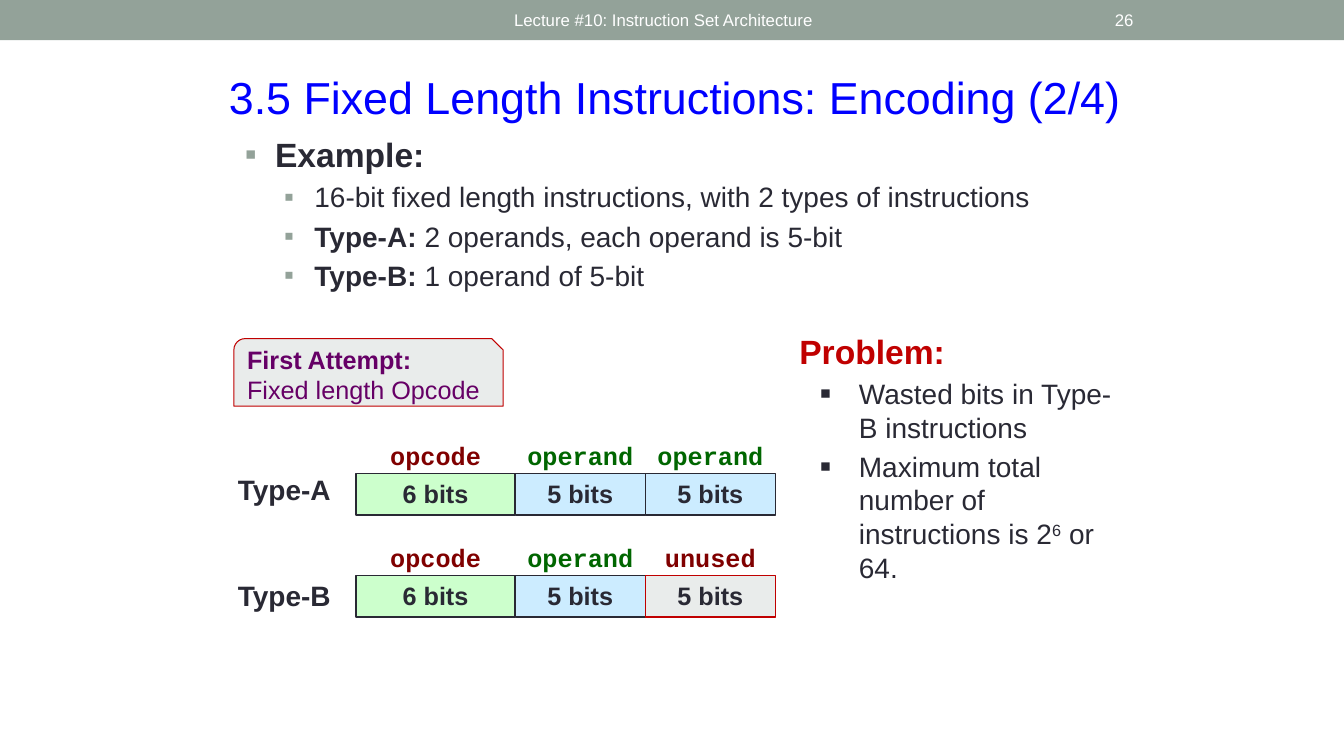
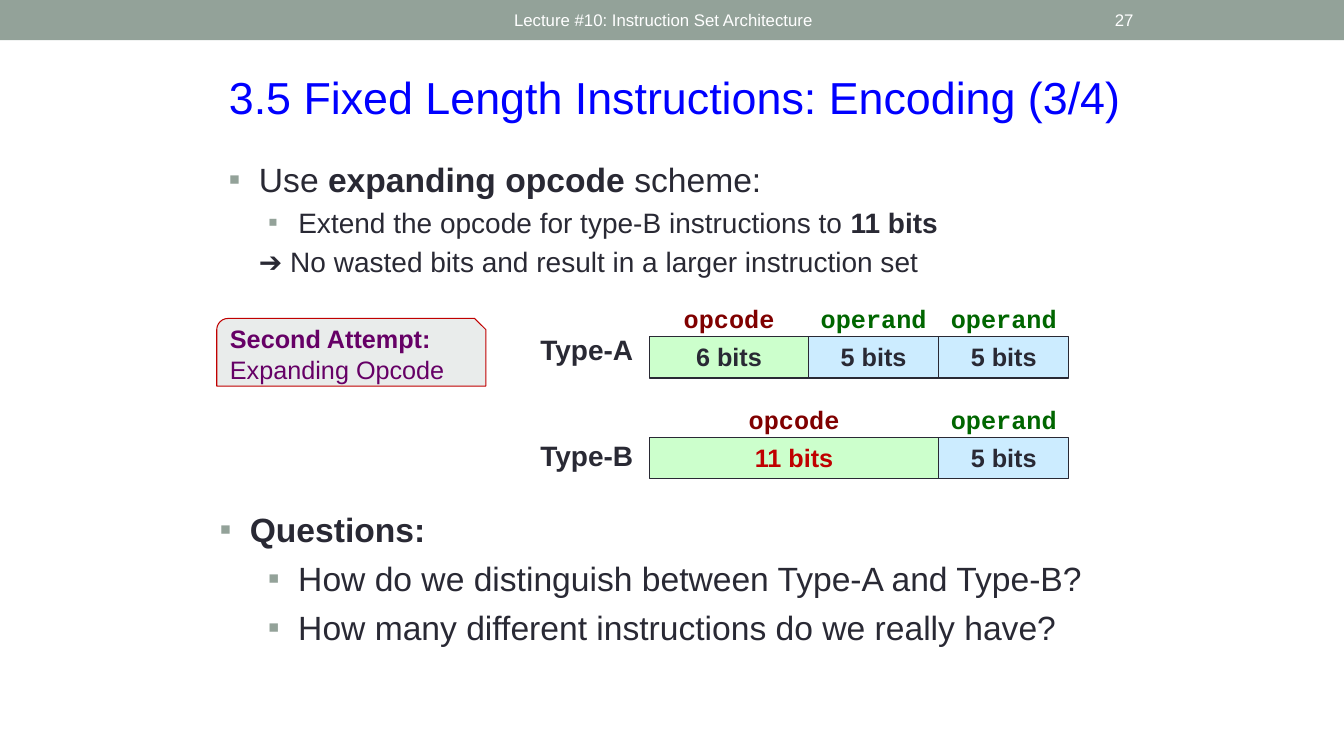
from lxml import etree
from pptx import Presentation
from pptx import util as u
from pptx.dml import color as dml
from pptx.enum import shapes, text
from pptx.oxml import ns

COLORS = {
    "band": "93A299", "white": "FFFFFF", "ink": "292934", "title": "0000FF",
    "red": "C00000", "maroon": "800000", "green": "006600", "purple": "660066",
    "mint": "CCFFCC", "sky": "CCECFF", "gray": "E9ECEB",
}
CELL_WIDTHS = {5: 1.29, 6: 1.58, 11: 2.87}
CELL_HEIGHT = 0.41
LEFT, CENTER, RIGHT = text.PP_ALIGN.LEFT, text.PP_ALIGN.CENTER, text.PP_ALIGN.RIGHT
TOP, MIDDLE = text.MSO_ANCHOR.TOP, text.MSO_ANCHOR.MIDDLE


def rgb(name):
    return dml.RGBColor.from_string(COLORS[name])


def place(box, at):
    box.left, box.top, box.width, box.height = map(u.Inches, at)


def set_bullet(para, color, scale):
    properties = para._p.get_or_add_pPr()
    if scale != 100:
        size = etree.Element(ns.qn("a:buSzPct"), val=str(scale * 1000))
    else:
        size = etree.Element(ns.qn("a:buSzTx"))
    tint = etree.SubElement(properties, ns.qn("a:buClr"))
    etree.SubElement(tint, ns.qn("a:srgbClr"), val=COLORS[color])
    properties.append(size)
    etree.SubElement(properties, ns.qn("a:buFont"), typeface="Arial")
    etree.SubElement(properties, ns.qn("a:buChar"), char="▪")


def write_para(para, content, size=18, color="ink", font="Arial", bold=False,
               align=LEFT, level=0, before=0, margin=0, hang=0,
               bullet=None, bullet_scale=100):
    para.level = level
    para.alignment = align
    para.space_before = u.Pt(before)
    properties = para._p.get_or_add_pPr()
    properties.set("marL", str(u.Inches(margin)))
    properties.set("indent", str(-u.Inches(hang)))
    if bullet:
        set_bullet(para, bullet, bullet_scale)
    parts = [(content, "")] if isinstance(content, str) else content
    for words, style in parts:
        span = para.add_run()
        span.text = words
        span.font.name = font
        span.font.size = u.Pt(size)
        span.font.bold = bold or style == "bold"
        span.font.color.rgb = rgb(color)
        if style == "super":
            span._r.get_or_add_rPr().set("baseline", "30000")


def write_frame(box, paras, anchor=TOP, inset=None):
    frame = box.text_frame
    frame.word_wrap = True
    frame.auto_size = text.MSO_AUTO_SIZE.NONE
    frame.vertical_anchor = anchor
    if inset is not None:
        frame.margin_left = frame.margin_right = u.Inches(inset)
        frame.margin_top = frame.margin_bottom = u.Inches(inset)
    for index, (content, style) in enumerate(paras):
        para = frame.add_paragraph() if index else frame.paragraphs[0]
        write_para(para, content, **style)


def add_text(page, at, paras, **layout):
    box = page.shapes.add_textbox(*map(u.Inches, at))
    write_frame(box, paras, **layout)


def add_label(page, at, content, anchor=TOP, inset=None, **style):
    add_text(page, at, [(content, style)], anchor=anchor, inset=inset)


def add_panel(page, at, fill, line=None, width=1,
              kind=shapes.MSO_SHAPE.RECTANGLE):
    panel = page.shapes.add_shape(kind, *map(u.Inches, at))
    panel.shadow.inherit = False
    panel.fill.solid()
    panel.fill.fore_color.rgb = rgb(fill)
    if line:
        panel.line.color.rgb = rgb(line)
        panel.line.width = u.Pt(width)
    else:
        panel.line.fill.background()
    return panel


def add_page(deck, title, number):
    page = deck.slides.add_slide(deck.slide_layouts[5])
    add_panel(page, (0, 0, 13.33, 0.4), "band")
    add_label(page, (5, 0.02, 6, 0.36), "Lecture #10: Instruction Set Architecture",
              anchor=MIDDLE, size=12, color="white")
    place(page.shapes.title, (2.17, 0.64, 9.17, 0.64))
    write_frame(page.shapes.title, [(title, dict(size=32, color="title"))])
    add_label(page, (10.39, 0.02, 0.95, 0.36), str(number),
              anchor=MIDDLE, size=12, color="white", align=RIGHT)
    return page


def add_callout(page, left, top, heading, detail):
    box = add_panel(page, (left, top, 2.67, 0.67), "gray", "red", 0.75,
                    shapes.MSO_SHAPE.SNIP_ROUND_RECTANGLE)
    write_frame(box, [(heading, dict(color="purple", bold=True)),
                      (detail, dict(color="purple"))], anchor=MIDDLE)


def add_format(page, name, left, top, label_left, label_top, fields):
    add_label(page, (label_left, label_top, 1.3, 0.43), name,
              size=20, bold=True, align=RIGHT)
    for caption, bits, color in fields:
        width = CELL_WIDTHS[bits]
        fill = {"opcode": "mint", "operand": "sky", "unused": "gray"}[caption]
        line = "red" if caption == "unused" else "ink"
        cell = add_panel(page, (left, top, width, CELL_HEIGHT), fill, line)
        write_frame(cell, [(f"{bits} bits", dict(color=color, bold=True, align=CENTER))])
        add_label(page, (left + (width - 1.21) / 2, top - 0.34, 1.21, 0.32), caption,
                  inset=0.01, font="Courier New", bold=True, align=CENTER,
                  color="green" if caption == "operand" else "maroon")
        left += width


def main():
    deck = Presentation()
    deck.slide_width, deck.slide_height = u.Inches(13.33), u.Inches(7.5)
    title = "3.5 Fixed Length Instructions: Encoding ({}/4)"
    head = dict(size=24, margin=0.3, hang=0.3, bullet="band")
    item = dict(size=20, level=1, before=4, margin=0.69, hang=0.3, bullet="band")
    problem = dict(item, margin=0.59, hang=0.39, bullet="ink", bullet_scale=120)
    question = dict(item, size=24, before=6, margin=0.78)
    opcode, operand = ("opcode", 6, "ink"), ("operand", 5, "ink")
    type_a = [opcode, operand, operand]

    page = add_page(deck, title.format(2), 26)
    add_text(page, (2.33, 1.28, 9, 1.83), [
        ("Example:", dict(head, bold=True)),
        ("16-bit fixed length instructions, with 2 types of instructions", item),
        ([("Type-A: ", "bold"), ("2 operands, each operand is 5-bit", "")], item),
        ([("Type-B: ", "bold"), ("1 operand of 5-bit", "")], item),
    ])
    add_format(page, "Type-A", 3.53, 4.7, 2.08, 4.64, type_a)
    add_format(page, "Type-B", 3.53, 5.71, 2.08, 5.69,
               [opcode, operand, ("unused", 5, "ink")])
    add_text(page, (7.83, 3.23, 3.33, 2.83), [
        ("Problem:", dict(size=24, color="red", bold=True)),
        ("Wasted bits in Type-B instructions", problem),
        ([("Maximum total number of instructions is 2", ""), ("6", "super"),
          (" or 64.", "")], problem),
    ])
    add_callout(page, 2.32, 3.36, "First Attempt:", "Fixed length Opcode")

    page = add_page(deck, title.format(3), 27)
    add_text(page, (2.17, 1.53, 9, 1.38), [
        ([("Use ", ""), ("expanding opcode ", "bold"), ("scheme:", "")], head),
        ([("Extend the opcode for type-B instructions to ", ""),
          ("11 bits", "bold")], item),
        ("➔ No wasted bits and result in a larger instruction set",
         dict(item, margin=0.5, hang=0.2, bullet=None)),
    ])
    add_format(page, "Type-A", 6.44, 3.34, 5.08, 3.25, type_a)
    add_format(page, "Type-B", 6.44, 4.34, 5.08, 4.3,
               [("opcode", 11, "red"), operand])
    add_text(page, (2.08, 5, 9, 1.58), [
        ("Questions:", dict(head, bold=True)),
        ("How do we distinguish between Type-A and Type-B?", question),
        ("How many different instructions do we really have?", question),
    ])
    add_callout(page, 2.15, 3.16, "Second Attempt:", "Expanding Opcode")

    deck.save("out.pptx")


if __name__ == "__main__":
    main()
